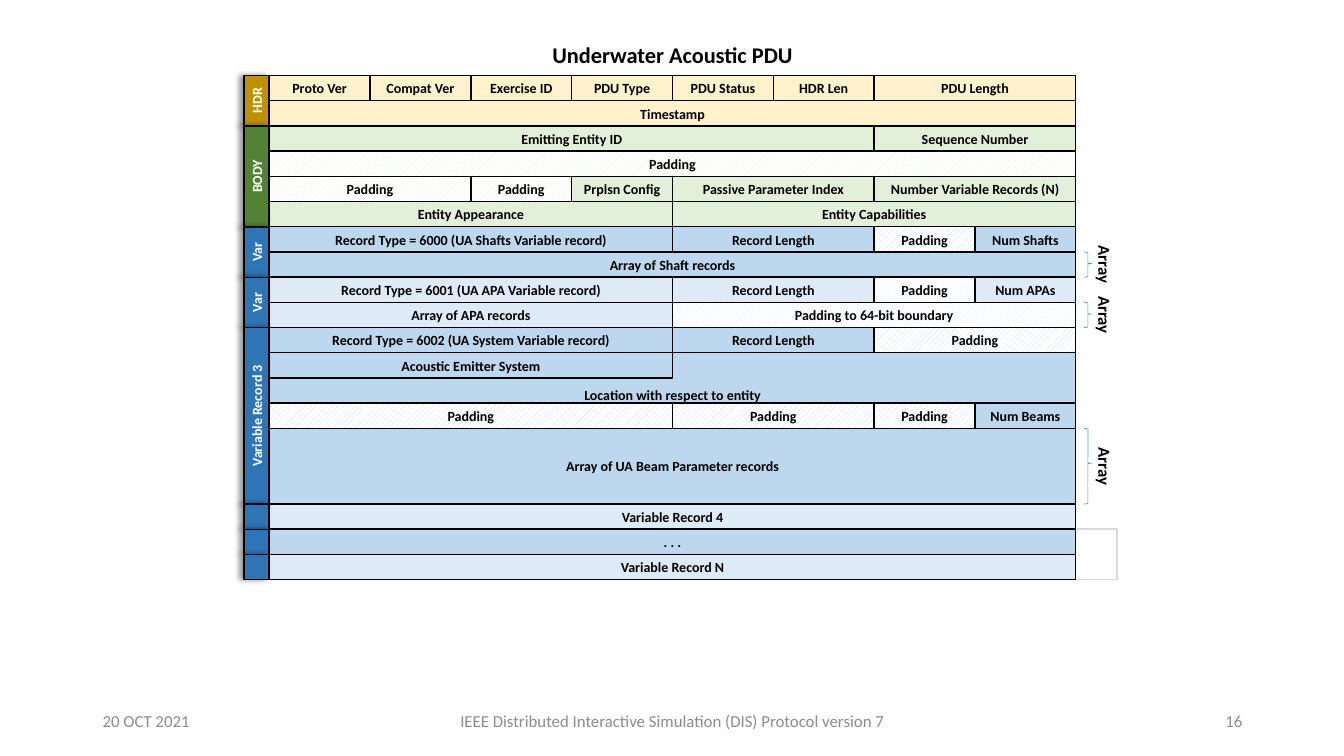
from dataclasses import dataclass

from lxml import etree
from pptx import Presentation
from pptx import util as u
from pptx.dml import color
from pptx.enum import dml, shapes, text
from pptx.oxml import ns

COLORS = {
    "black": "000000", "white": "FFFFFF", "footer": "8C8C8C",
    "frame": "D9D9D9", "brace": "5B9BD5",
    "sand": "FFF2CC", "leaf": "E2F0D9", "sky": "BDD7EE", "mist": "DEEBF7",
    "gold": "BF9000", "green": "548235", "blue": "2E75B6",
}
FONT = "Calibri"
GRID_LEFT, GRID_TOP, ROW = 2.67, 0.75, 0.25
GRID_WIDTH = 8
CENTER, MIDDLE = text.PP_ALIGN.CENTER, text.MSO_ANCHOR.MIDDLE


@dataclass
class Band:
    """Fields side by side, each a (label, width in inches) pair."""
    row: int
    tone: str
    fields: list[tuple[str, int]]
    rows: int = 1
    anchor: text.MSO_ANCHOR = MIDDLE


@dataclass
class Tab:
    label: str
    row: int
    rows: int
    tone: str


@dataclass
class Footer:
    label: str
    left: float
    width: float
    align: text.PP_ALIGN


BANDS = [
    Band(11, "sky", [("Location with respect to entity", 8)], 2, text.MSO_ANCHOR.BOTTOM),
    Band(0, "sand", [("Proto Ver", 1), ("Compat Ver", 1), ("Exercise ID", 1), ("PDU Type", 1),
                     ("PDU Status", 1), ("HDR Len", 1), ("PDU Length", 2)]),
    Band(1, "sand", [("Timestamp", 8)]),
    Band(2, "leaf", [("Emitting Entity ID", 6), ("Sequence Number", 2)]),
    Band(3, "leaf", [("Padding", 8)]),
    Band(4, "leaf", [("Padding", 2), ("Padding", 1), ("Prplsn Config", 1),
                     ("Passive Parameter Index", 2), ("Number Variable Records (N)", 2)]),
    Band(5, "leaf", [("Entity Appearance", 4), ("Entity Capabilities", 4)]),
    Band(6, "sky", [("Record Type = 6000 (UA Shafts Variable record)", 4),
                    ("Record Length", 2), ("Padding", 1), ("Num Shafts", 1)]),
    Band(7, "sky", [("Array of Shaft records", 8)]),
    Band(8, "mist", [("Record Type = 6001 (UA APA Variable record)", 4),
                     ("Record Length", 2), ("Padding", 1), ("Num APAs", 1)]),
    Band(9, "mist", [("Array of APA records", 4), ("Padding to 64-bit boundary", 4)]),
    Band(10, "sky", [("Record Type = 6002 (UA System Variable record)", 4),
                     ("Record Length", 2), ("Padding", 2)]),
    Band(11, "sky", [("Acoustic Emitter System", 4)]),
    Band(13, "sky", [("Padding", 4), ("Padding", 2), ("Padding", 1), ("Num Beams", 1)]),
    Band(14, "sky", [("Array of UA Beam Parameter records", 8)], 3),
    Band(17, "mist", [("Variable Record 4", 8)]),
    Band(18, "sky", [(". . .", 8)]),
    Band(19, "mist", [("Variable Record N", 8)]),
]
TABS = [
    Tab("HDR", 0, 2, "gold"),
    Tab("BODY", 2, 4, "green"),
    Tab("Var", 6, 2, "blue"),
    Tab("Var", 8, 2, "blue"),
    Tab("Variable Record 3", 10, 7, "blue"),
    *(Tab("", row, 1, "blue") for row in (17, 18, 19)),
]
ARRAYS = [(7, 1), (9, 1), (14, 3)]
FOOTERS = [
    Footer("20 OCT 2021", 0.92, 3, text.PP_ALIGN.LEFT),
    Footer("IEEE Distributed Interactive Simulation (DIS) Protocol version 7", 4.42, 4.5, CENTER),
    Footer("16", 9.42, 3, text.PP_ALIGN.RIGHT),
]


def rgb(name: str) -> color.RGBColor:
    return color.RGBColor.from_string(COLORS[name])


def row_top(row: int) -> float:
    return GRID_TOP + row * ROW


def write(box, label: str, size: int, tone: str = "black", bold: bool = True,
          align: text.PP_ALIGN = CENTER, anchor: text.MSO_ANCHOR = MIDDLE, inset: float = 0) -> None:
    frame = box.text_frame
    frame.text = label
    frame.word_wrap = True
    frame.auto_size = text.MSO_AUTO_SIZE.NONE
    frame.vertical_anchor = anchor
    frame.margin_left = frame.margin_right = u.Inches(inset)
    frame.margin_top = frame.margin_bottom = 0
    para = frame.paragraphs[0]
    para.alignment = align
    for span in para.runs:
        span.font.name = FONT
        span.font.size = u.Pt(size)
        span.font.bold = bold
        span.font.color.rgb = rgb(tone)


def add_shape(page, kind: shapes.MSO_SHAPE, left: float, top: float, width: float,
              height: float, line: str = "black", weight: float = 1):
    """Add an outlined shape without fill or shadow."""
    box = page.shapes.add_shape(kind, *map(u.Inches, (left, top, width, height)))
    box.shadow.inherit = False
    box.fill.background()
    box.line.color.rgb = rgb(line)
    box.line.width = u.Pt(weight)
    return box


def add_band(page, band: Band) -> None:
    left = GRID_LEFT
    for label, width in band.fields:
        box = add_shape(page, shapes.MSO_SHAPE.RECTANGLE, left, row_top(band.row),
                        width, band.rows * ROW)
        if label.startswith("Padding"):
            box.fill.patterned()
            box.fill.pattern = dml.MSO_PATTERN.WIDE_UPWARD_DIAGONAL
            box.fill.fore_color.rgb = rgb(band.tone)
            box.fill.back_color.rgb = rgb("white")
        else:
            box.fill.solid()
            box.fill.fore_color.rgb = rgb(band.tone)
        write(box, label, 10, anchor=band.anchor)
        left += width


def add_left_shadow(box) -> None:
    effects = box.element.spPr.find(ns.qn("a:effectLst"))
    shadow = etree.SubElement(effects, ns.qn("a:outerShdw"), blurRad=str(u.Pt(4)),
                              dist=str(u.Pt(3)), dir="10800000", algn="r", rotWithShape="0")
    tone = etree.SubElement(shadow, ns.qn("a:srgbClr"), val=COLORS["black"])
    etree.SubElement(tone, ns.qn("a:alpha"), val="40000")


def add_tab(page, tab: Tab) -> None:
    length = tab.rows * ROW
    left = GRID_LEFT - (ROW + length) / 2
    top = row_top(tab.row) + (length - ROW) / 2
    box = add_shape(page, shapes.MSO_SHAPE.RECTANGLE, left, top, length, ROW)
    box.rotation = 270
    box.fill.solid()
    box.fill.fore_color.rgb = rgb(tab.tone)
    add_left_shadow(box)
    if tab.label:
        write(box, tab.label, 10, "white")


def add_text(page, left: float, top: float, width: float, height: float):
    return page.shapes.add_textbox(*map(u.Inches, (left, top, width, height)))


def add_array_mark(page, row: int, rows: int) -> None:
    height = rows * ROW
    label = add_text(page, GRID_LEFT + GRID_WIDTH, row_top(row) + (height - ROW) / 2, 0.58, ROW)
    label.rotation = 90
    write(label, "Array", 12)
    brace = add_shape(page, shapes.MSO_SHAPE.RIGHT_BRACE, 10.75, row_top(row), 0.08, height,
                      "brace", 0.5)
    brace.adjustments[0] = 0.08
    brace.adjustments[1] = 0.46


def main() -> None:
    deck = Presentation()
    deck.slide_width, deck.slide_height = u.Inches(13.33), u.Inches(7.5)
    page = deck.slides.add_slide(deck.slide_layouts[5])
    title = page.shapes.title
    title.left, title.top, title.width, title.height = map(u.Inches, (4.67, 0.42, 4, 0.25))
    write(title, "Underwater Acoustic PDU", 16)

    frame = add_shape(page, shapes.MSO_SHAPE.RECTANGLE, 10.62, 5.29, 0.5, 0.42, "frame")
    frame.rotation = 90
    for band in BANDS:
        add_band(page, band)
    for tab in TABS:
        add_tab(page, tab)
    for row, rows in ARRAYS:
        add_array_mark(page, row, rows)
    for footer in FOOTERS:
        box = add_text(page, footer.left, 6.95, footer.width, 0.4)
        write(box, footer.label, 12, "footer", False, footer.align, inset=0.1)
    deck.save("out.pptx")


if __name__ == "__main__":
    main()
